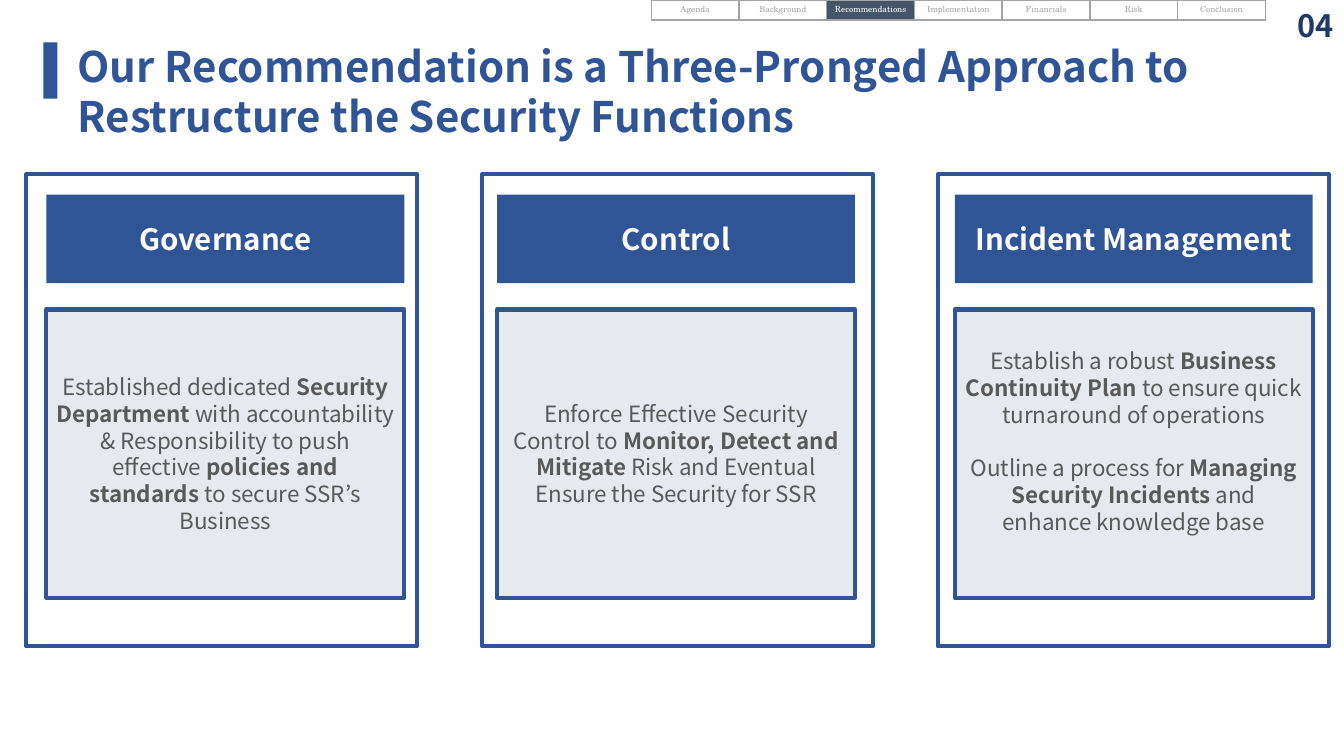
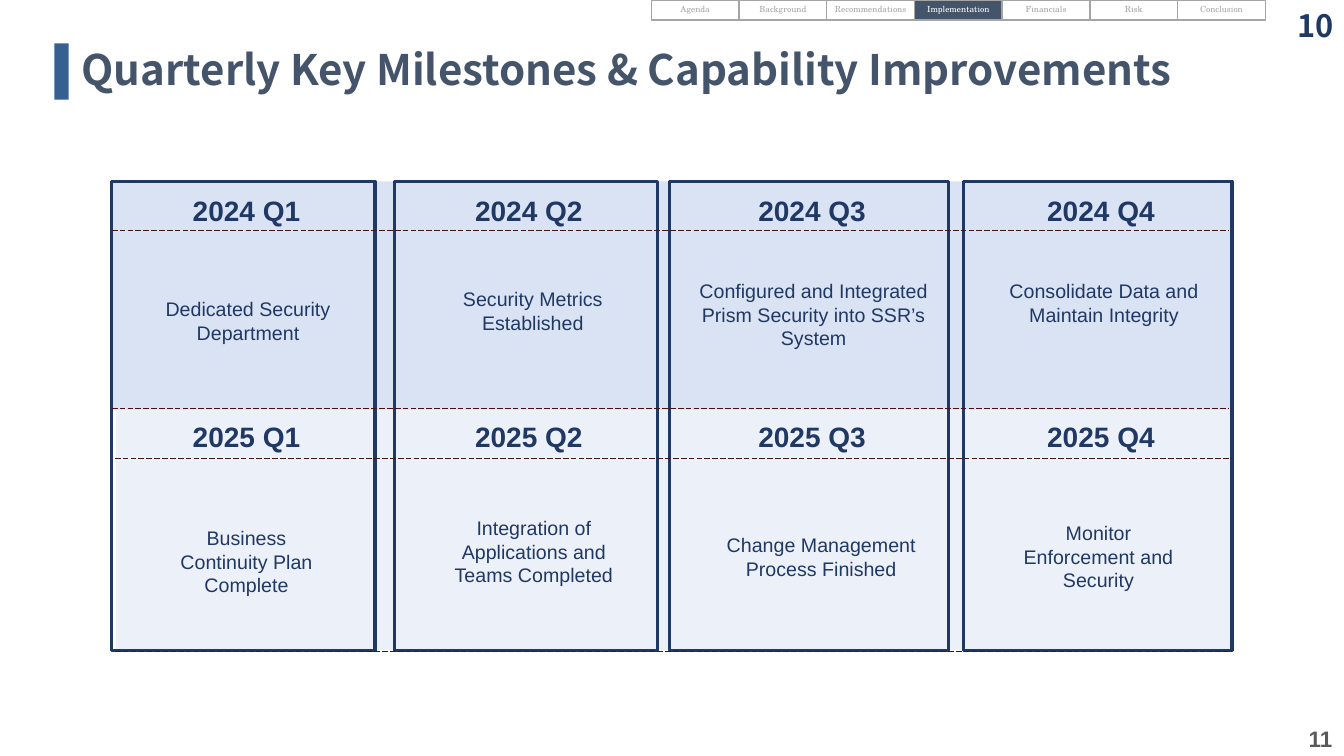
from lxml import etree
from pptx import Presentation
from pptx.dml.color import RGBColor
from pptx.enum.dml import MSO_LINE
from pptx.enum.shapes import MSO_CONNECTOR, MSO_SHAPE
from pptx.enum.text import MSO_ANCHOR, MSO_AUTO_SIZE, PP_ALIGN
from pptx.oxml.ns import qn
from pptx.util import Inches, Pt

SANS, ARIAL, SERIF = "Noto Sans CJK KR", "Arial", "TeX Gyre Schola"
BLUE, NAVY, SLATE, GREY, WHITE = "2F5597", "203864", "44546A", "595959", "FFFFFF"
PALE, MIST, STEEL = "DAE3F3", "8497B0", "376092"
TAB_LINE, TAB_TEXT, DASH = "A5A5A5", "A6A6A6", "451515"
LEFT, CENTER, RIGHT = PP_ALIGN.LEFT, PP_ALIGN.CENTER, PP_ALIGN.RIGHT
TOP, MIDDLE = MSO_ANCHOR.TOP, MSO_ANCHOR.MIDDLE

TABS = ["Agenda", "Background", "Recommendations", "Implementation",
        "Financials", "Risk", "Conclusion"]
TAB_LEFT, TAB_WIDTH, TAB_HEIGHT = 6.46, 0.87, 0.2

# Heading, left of the inner boxes, bottom inset, paragraphs of (text, bold) runs
PRONGS = [
    ("Governance", 0.46, 0.05, [
        [("Established dedicated ", False), ("Security Department", True),
         (" with accountability & Responsibility to push effective ", False),
         ("policies and standards ", True), ("to secure SSR’s Business", False)]]),
    ("Control", 4.93, 0.05, [
        [("Enforce Effective Security Control to ", False),
         ("Monitor, Detect and Mitigate", True),
         (" Risk and Eventual Ensure the Security for SSR", False)]]),
    ("Incident Management", 9.47, 0.3, [
        [("Establish a robust ", False), ("Business Continuity Plan", True),
         (" to ensure quick turnaround of operations", False)],
        [("Outline a process for ", False), ("Managing Security Incidents ", True),
         ("and enhance knowledge base", False)]]),
]

QUARTER_COLUMNS = [(1.11, 2.61), (3.91, 2.61), (6.64, 2.77), (9.56, 2.66)]
# Year, top of its headings, milestones as (text, left, top, width)
YEARS = [
    (2024, 1.9, [
        ("Dedicated Security Department", 1.42, 2.9, 2.08),
        ("Security Metrics Established", 4.21, 2.8, 2.15),
        ("Configured and Integrated Prism Security into SSR’s System", 6.83, 2.72, 2.48),
        ("Consolidate Data and Maintain Integrity", 9.71, 2.72, 2.48)]),
    (2025, 4.14, [
        ("Business Continuity Plan Complete", 1.55, 5.17, 1.79),
        ("Integration of Applications and Teams Completed", 4.22, 5.07, 2.15),
        ("Change Management Process Finished", 6.97, 5.24, 2.35),
        ("Monitor Enforcement and Security", 9.97, 5.12, 1.85)]),
]


def rgb(value):
    return RGBColor.from_string(value)


def write(shape, text, size, color, font=SANS, bold=False, align=CENTER,
          anchor=MIDDLE, inset=(0.1, 0.05, 0.1, 0.05), gap=0):
    """Fill a shape with a string, or with paragraphs given as lists of (text, bold)."""
    tf = shape.text_frame
    tf.word_wrap, tf.auto_size, tf.vertical_anchor = True, MSO_AUTO_SIZE.NONE, anchor
    tf.margin_left, tf.margin_top, tf.margin_right, tf.margin_bottom = map(Inches, inset)
    paragraphs = [[(text, bold)]] if isinstance(text, str) else text
    for i, runs in enumerate(paragraphs):
        p = tf.add_paragraph() if i else tf.paragraphs[0]
        p.alignment = align
        if font == SANS:
            p.line_spacing = Pt(round(size * 1.2, 1))
        if i:
            p.space_before = Pt(gap)
        for content, strong in runs:
            r = p.add_run()
            r.text = content
            r.font.name, r.font.size, r.font.bold = font, Pt(size), strong
            r.font.color.rgb = rgb(color)


def add_text(s, box, text, size, color, **style):
    write(s.shapes.add_textbox(*map(Inches, box)), text, size, color, **style)


def add_rect(s, box, fill=None, line=None, width=1, opacity=100):
    sp = s.shapes.add_shape(MSO_SHAPE.RECTANGLE, *map(Inches, box))
    sp.shadow.inherit = False
    if fill:
        sp.fill.solid()
        sp.fill.fore_color.rgb = rgb(fill)
        if opacity < 100:
            clr = sp.fill._xPr.find(qn("a:solidFill"))[0]
            etree.SubElement(clr, qn("a:alpha"), val=str(opacity * 1000))
    else:
        sp.fill.background()
    if line:
        sp.line.color.rgb = rgb(line)
        sp.line.width = Pt(width)
    else:
        sp.line.fill.background()
    return sp


def add_dashed_line(s, left, y, length):
    c = s.shapes.add_connector(MSO_CONNECTOR.STRAIGHT, Inches(left), Inches(y),
                               Inches(left + length), Inches(y))
    c.line.color.rgb = rgb(DASH)
    c.line.width = Pt(0.5)
    c.line.dash_style = MSO_LINE.LONG_DASH
    etree.SubElement(c._element.spPr, qn("a:effectLst"))


def add_slide(prs, title, box, color, marker, marker_color, number, active):
    """Add a slide with its title, marker bar, page number and section tabs."""
    s = prs.slides.add_slide(prs.slide_layouts[5])
    sp = s.shapes.title
    sp.left, sp.top, sp.width, sp.height = map(Inches, box)
    write(sp, title, 30, color, bold=True, align=LEFT, anchor=TOP)
    add_rect(s, (*marker, 0.14, 0.56), fill=marker_color)
    add_text(s, (12.63, 0.02, 0.7, 0.47), number, 22, NAVY, bold=True,
             align=RIGHT, anchor=TOP)
    for i, name in enumerate(TABS):
        on = name == active
        tab = add_rect(s, (TAB_LEFT + i * TAB_WIDTH, 0, TAB_WIDTH, TAB_HEIGHT),
                       fill=SLATE if on else None, line=TAB_LINE)
        write(tab, name, 6, WHITE if on else TAB_TEXT, font=SERIF, inset=(0, 0, 0, 0.02))
    return s


def add_recommendation(prs):
    s = add_slide(prs, "Our Recommendation is a Three-Pronged Approach to "
                  "Restructure the Security Functions", (0.67, 0.35, 11.69, 1.11),
                  BLUE, (0.43, 0.42), BLUE, "04", "Recommendations")
    for i, (heading, left, bottom, paragraphs) in enumerate(PRONGS):
        add_rect(s, (0.26 + i * 4.52, 1.73, 3.88, 4.68), line=BLUE, width=3)
        header = add_rect(s, (left, 1.93, 3.55, 0.88), fill=BLUE)
        write(header, heading, 21, WHITE, bold=True)
        body = add_rect(s, (left, 3.07, 3.55, 2.86), fill=MIST, line=BLUE,
                        width=3, opacity=20)
        write(body, paragraphs, 16, GREY, inset=(0.1, 0.05, 0.1, bottom), gap=19)


def add_milestones(prs):
    s = add_slide(prs, "Quarterly Key Milestones & Capability Improvements",
                  (0.71, 0.38, 11.67, 0.61), SLATE, (0.54, 0.43), STEEL, "10",
                  "Implementation")
    add_rect(s, (1.15, 4.07, 11.06, 2.38), fill=PALE, opacity=50)
    add_rect(s, (1.11, 1.8, 11.11, 2.27), fill=PALE)
    for left, width in QUARTER_COLUMNS:
        add_rect(s, (left, 1.8, width, 4.65), line=NAVY, width=2.25)
    for left, y in [(1.11, 2.29), (1.11, 4.05), (1.14, 4.55), (1.14, 6.46)]:
        add_dashed_line(s, left, y, 11.08)
    for year, top, milestones in YEARS:
        for q, (left, width) in enumerate(QUARTER_COLUMNS, 1):
            add_text(s, (left + 0.03, top, width, 0.38), f"{year} Q{q}", 20, NAVY,
                     font=ARIAL, bold=True)
        for text, left, y, width in milestones:
            add_text(s, (left, y, width, 0.8), text, 14, NAVY, font=ARIAL, anchor=TOP)
    add_text(s, (12.93, 7.17, 0.4, 0.29), "11", 16, GREY, font=ARIAL, bold=True,
             align=LEFT, anchor=TOP, inset=(0.05, 0.02, 0, 0))


def main():
    prs = Presentation()
    prs.slide_width, prs.slide_height = Inches(13.33), Inches(7.5)
    add_recommendation(prs)
    add_milestones(prs)
    prs.save("out.pptx")


if __name__ == "__main__":
    main()
